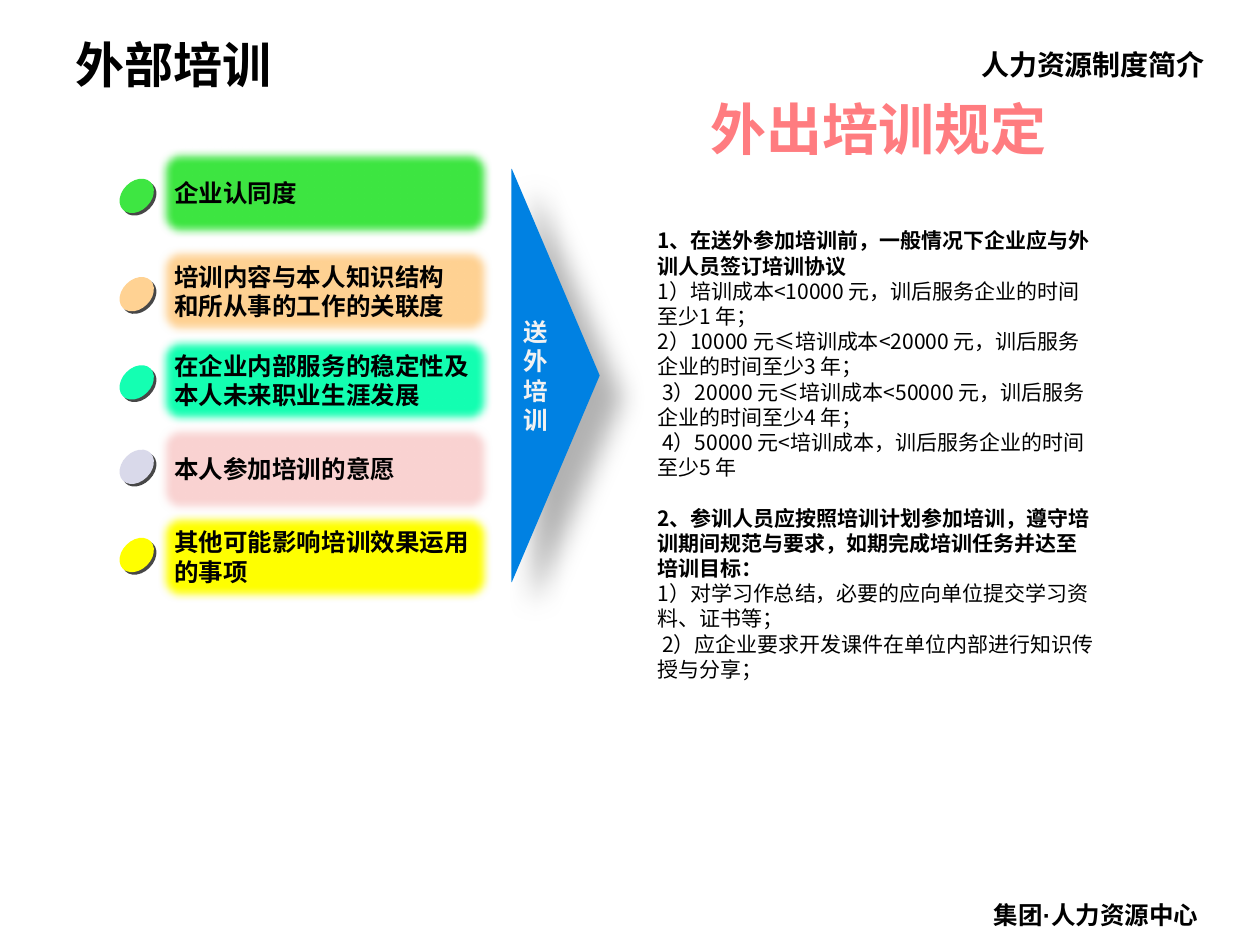
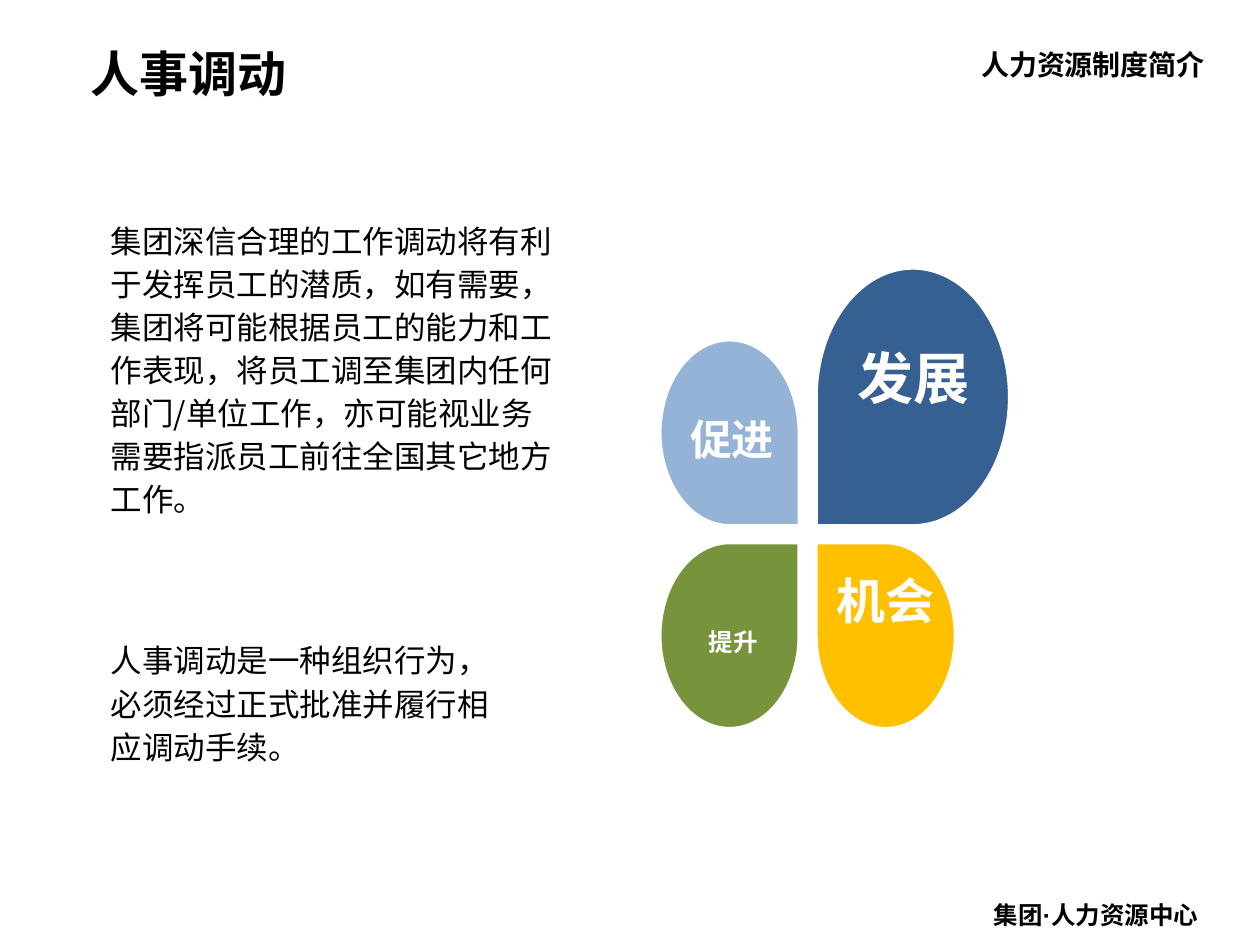
"""Build two slides on external training and staff transfers."""
from lxml import etree
from pptx import Presentation, util as u
from pptx.dml.color import RGBColor
from pptx.enum import shapes, text
from pptx.oxml import ns

SANS, LATIN = "Noto Sans CJK SC", "Arial"
COLOURS = {
    "black": "000000", "white": "FFFFFF", "pale": "F2F2F2", "coral": "FF7C80",
    "green": "3EE642", "peach": "FFD293", "mint": "14FFB2", "pink": "FAD3D2",
    "lavender": "D9D9EA", "yellow": "FFFF00", "edge": "474747", "arrow": "0081E2",
    "navy": "376092", "gold": "FFC000", "olive": "77933C", "sky": "95B3D7",
}
HEADER = "人力资源制度简介"
FOOTER = [("集团", SANS), ("·", LATIN), ("人力资源中心", SANS)]

# criterion, card top, card colour, bullet colour, bullet drop
CRITERIA = [
    ("企业认同度", 1.17, "green", "green", 0.23),
    ("培训内容与本人知识结构\v和所从事的工作的关联度", 1.95, "peach", "peach", 0.23),
    ("在企业内部服务的稳定性及本人未来职业生涯发展", 2.66, "mint", "mint", 0.22),
    ("本人参加培训的意愿", 3.36, "pink", "lavender", 0.19),
    ("其他可能影响培训效果运用的事项", 4.06, "yellow", "yellow", 0.19),
]
RULES = [
    ("1、在送外参加培训前，一般情况下企业应与外训人员签订培训协议", [
        "1）培训成本<10000 元，训后服务企业的时间至少1 年；",
        "2）10000 元≤培训成本<20000 元，训后服务企业的时间至少3 年；",
        " 3）20000 元≤培训成本<50000 元，训后服务企业的时间至少4 年；",
        " 4）50000 元<培训成本，训后服务企业的时间至少5 年"]),
    ("2、参训人员应按照培训计划参加培训，遵守培训期间规范与要求，如期完成培训任务并达至培训目标：", [
        "1）对学习作总结，必要的应向单位提交学习资料、证书等；",
        " 2）应企业要求开发课件在单位内部进行知识传授与分享；"]),
]
TRANSFER_NOTES = [
    ("集团深信合理的工作调动将有利于发挥员工的潜质，如有需要，集团将可能根据员工的能力和工作表现，"
     "将员工调至集团内任何部门/单位工作，亦可能视业务需要指派员工前往全国其它地方工作。",
     (0.78, 1.67, 3.75, 2.52)),
    ("人事调动是一种组织行为，必须经过正式批准并履行相应调动手续。", (0.78, 5, 3.44, 1.48)),
]
HUB, HALF_GAP = (6.41, 4.24), 0.07
# word, side (x, y), size, rotation, colour, word box, point size, font
PETALS = [
    ("发展", (1, -1), (1.53, 2.04), 180, "navy", (6.67, 2.68, 1.16, 0.64), 32, LATIN),
    ("机会", (1, 1), (1.1, 1.47), 270, "gold", (6.45, 4.48, 1.16, 0.57), 28, SANS),
    ("提升", (-1, 1), (1.1, 1.47), 0, "olive", (5.24, 4.93, 1.16, 0.34), 14, SANS),
    ("促进", (-1, -1), (1.1, 1.47), 90, "sky", (5.23, 3.23, 1.16, 0.5), 24, LATIN),
]


def rgb(name):
    return RGBColor.from_string(COLOURS[name])


def style(paragraph, size, colour="black", bold=True, align=text.PP_ALIGN.LEFT, font=SANS):
    paragraph.alignment = align
    for run in paragraph.runs:
        run.font.size, run.font.bold, run.font.name = u.Pt(size), bold, font
        run.font.color.rgb = rgb(colour)
        east = etree.SubElement(run.font._element, ns.qn("a:ea"))
        east.set("typeface", SANS)


def add_words(slide, words, box, size, anchor=text.MSO_ANCHOR.TOP, **look):
    label = slide.shapes.add_textbox(*map(u.Inches, box))
    frame = label.text_frame
    frame.word_wrap, frame.vertical_anchor = True, anchor
    frame.text = words
    style(frame.paragraphs[0], size, **look)
    return frame


def add_block(slide, kind, box, fill):
    block = slide.shapes.add_shape(kind, *map(u.Inches, box))
    block.shadow.inherit = False
    block.fill.solid()
    block.fill.fore_color.rgb = rgb(fill)
    block.line.fill.background()
    return block


def label_block(block, words, **look):
    frame = block.text_frame
    frame.word_wrap, frame.vertical_anchor = True, text.MSO_ANCHOR.MIDDLE
    frame.text = words
    style(frame.paragraphs[0], 14, **look)


def add_effect(block, tag, **attributes):
    effects = block._element.spPr.find(ns.qn("a:effectLst"))
    effect = etree.SubElement(effects, ns.qn(tag))
    for key, value in attributes.items():
        effect.set(key, str(value))
    return effect


def start_slide(deck, title, title_box):
    slide = deck.slides.add_slide(deck.slide_layouts[6])
    footer = add_words(slide, "", (4.61, 7.09, 5, 0.34), 14).paragraphs[0]
    for words, _ in FOOTER:
        footer.add_run().text = words
    style(footer, 14, align=text.PP_ALIGN.RIGHT)
    for run, (_, font) in zip(footer.runs, FOOTER):
        run.font.name = font
    add_words(slide, HEADER, (7.66, 0.33, 2.03, 0.37), 16, align=text.PP_ALIGN.CENTER)
    add_words(slide, title, title_box, 28, text.MSO_ANCHOR.MIDDLE)
    return slide


def build_training(deck):
    slide = start_slide(deck, "外部培训", (0.5, 0.23, 9, 0.56))
    preset = shapes.MSO_SHAPE
    for words, top, card_fill, bullet_fill, drop in CRITERIA:
        card = add_block(slide, preset.ROUNDED_RECTANGLE, (1.25, top, 2.66, 0.72), card_fill)
        add_effect(card, "a:softEdge", rad=u.Pt(5))
        label_block(card, words)
        for shift, fill in ((0.02, "edge"), (0, bullet_fill)):
            bullet = add_block(slide, preset.OVAL, (0.97 + shift, top + drop + shift, 0.23, 0.31), fill)
            bullet.rotation = 45

    arrow = add_block(slide, preset.PENTAGON, (4.06, 1.34, 0.7, 3.28), "arrow")
    arrow.adjustments[0] = 0.996
    shadow = add_effect(arrow, "a:outerShdw", blurRad=u.Pt(15), dist=u.Pt(18), dir=45 * 60000)
    tint = etree.SubElement(shadow, ns.qn("a:srgbClr"), val=COLOURS["black"])
    etree.SubElement(tint, ns.qn("a:alpha"), val="30000")
    label_block(arrow, "送外培训", colour="pale", align=text.PP_ALIGN.CENTER)

    add_words(slide, "外出培训规定", (5.39, 0.7, 3.17, 0.4), 32, colour="coral",
              align=text.PP_ALIGN.CENTER)
    (first, _), *_ = RULES
    frame = add_words(slide, first, (5.12, 1.76, 3.66, 3.8), 12)
    for number, (heading, clauses) in enumerate(RULES):
        if number:
            paragraph = frame.add_paragraph()
            paragraph.text = heading
            paragraph.space_before = u.Pt(14.4)
            style(paragraph, 12)
        for clause in clauses:
            paragraph = frame.add_paragraph()
            paragraph.text = clause
            style(paragraph, 12, bold=False)


def build_transfer(deck):
    slide = start_slide(deck, "人事调动", (0.62, 0.21, 3.59, 0.74))
    for words, side, size, turn, fill, word_box, points, font in PETALS:
        centre = [h + s * (HALF_GAP + length / 2) for h, s, length in zip(HUB, side, size)]
        width, height = size[::-1] if turn % 180 else size
        petal = add_block(slide, shapes.MSO_SHAPE.TEAR,
                          (centre[0] - width / 2, centre[1] - height / 2, width, height), fill)
        petal.rotation = turn
        petal.line.color.rgb = rgb("white")
        petal.line.width = u.Pt(1.5)
        add_words(slide, words, word_box, points, colour="white",
                  align=text.PP_ALIGN.CENTER, font=font)
    for words, box in TRANSFER_NOTES:
        note = add_words(slide, words, box, 18, bold=False)
        note.paragraphs[0].line_spacing = 1.14


def main():
    deck = Presentation()
    deck.slide_width, deck.slide_height = u.Inches(10), u.Inches(7.5)
    build_training(deck)
    build_transfer(deck)
    deck.save("out.pptx")


if __name__ == "__main__":
    main()
